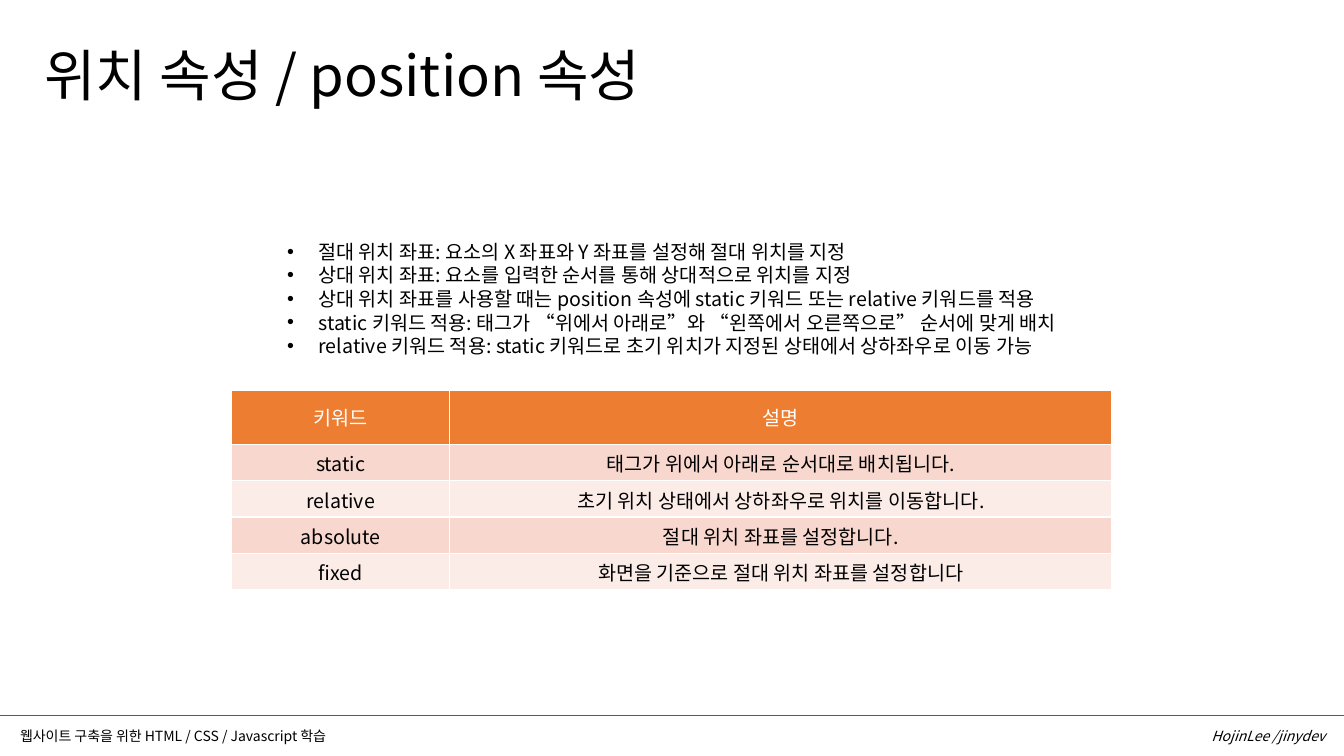
from lxml.etree import SubElement
from pptx import Presentation
from pptx.dml.color import RGBColor
from pptx.enum.shapes import MSO_CONNECTOR
from pptx.enum.text import MSO_ANCHOR, MSO_AUTO_SIZE, PP_ALIGN
from pptx.oxml.ns import qn
from pptx.util import Pt

PX = 9144  # 100 px to the inch
FONT = "Noto Sans CJK KR"
BLACK = RGBColor(0x00, 0x00, 0x00)
WHITE = RGBColor(0xFF, 0xFF, 0xFF)
GRAY = RGBColor(0x59, 0x59, 0x59)
ORANGE = RGBColor(0xED, 0x7D, 0x31)
BANDS = (RGBColor(0xF8, 0xD7, 0xCE), RGBColor(0xFC, 0xEC, 0xE8))

BULLETS = (
    "절대 위치 좌표: 요소의 X 좌표와 Y 좌표를 설정해 절대 위치를 지정",
    "상대 위치 좌표: 요소를 입력한 순서를 통해 상대적으로 위치를 지정",
    "상대 위치 좌표를 사용할 때는 position 속성에 static 키워드 또는 relative 키워드를 적용",
    "static 키워드 적용: 태그가 “위에서 아래로”와 “왼쪽에서 오른쪽으로” 순서에 맞게 배치",
    "relative 키워드 적용: static 키워드로 초기 위치가 지정된 상태에서 상하좌우로 이동 가능",
)
KEYWORDS = (
    ("키워드", "설명"),
    ("static", "태그가 위에서 아래로 순서대로 배치됩니다."),
    ("relative", "초기 위치 상태에서 상하좌우로 위치를 이동합니다."),
    ("absolute", "절대 위치 좌표를 설정합니다."),
    ("fixed", "화면을 기준으로 절대 위치 좌표를 설정합니다"),
)
COLUMN_WIDTHS = (216, 657)
HEADER_HEIGHT, ROW_HEIGHT = 54, 36


def px(*lengths):
    return [length * PX for length in lengths]


def add_span(para, text, size, color=BLACK, italic=False):
    span = para.add_run()
    span.text = text
    font = span.font
    font.name, font.size, font.bold, font.italic = FONT, Pt(size), False, italic
    font.color.rgb = color
    SubElement(font._element, qn("a:ea"), typeface=FONT)


def set_bullet(para):
    properties = para._p.get_or_add_pPr()
    properties.set("marL", str(31 * PX))
    properties.set("indent", str(-31 * PX))
    SubElement(properties, qn("a:buFont"), typeface="Arial")
    SubElement(properties, qn("a:buChar"), char="•")


def add_title(page, text):
    title = page.shapes.title
    title.left, title.top, title.width, title.height = px(34, 35, 667, 77)
    frame = title.text_frame
    frame.auto_size = MSO_AUTO_SIZE.NONE
    frame.vertical_anchor = MSO_ANCHOR.MIDDLE
    frame.word_wrap = False
    para = frame.paragraphs[0]
    para.alignment = PP_ALIGN.LEFT
    add_span(para, text, 40)


def add_text(page, place, texts, size, align=PP_ALIGN.LEFT, bullets=False, italic=False):
    frame = page.shapes.add_textbox(*px(*place)).text_frame
    frame.word_wrap = True
    if bullets:
        frame.margin_right = 0
    for index, text in enumerate(texts):
        para = frame.add_paragraph() if index else frame.paragraphs[0]
        para.alignment = align
        para.line_spacing = Pt(size * 1.2)
        if bullets:
            set_bullet(para)
        add_span(para, text, size, italic=italic)


def set_borders(cell):
    """Draw thin white lines on all four sides, ahead of the cell's fill."""
    properties = cell._tc.get_or_add_tcPr()
    for index, side in enumerate(("a:lnL", "a:lnR", "a:lnT", "a:lnB")):
        line = SubElement(properties, qn(side), w=str(Pt(1)))
        fill = SubElement(line, qn("a:solidFill"))
        SubElement(fill, qn("a:srgbClr"), val=str(WHITE))
        properties.insert(index, line)


def fill_cell(cell, text, fill, color):
    cell.fill.solid()
    cell.fill.fore_color.rgb = fill
    set_borders(cell)
    cell.vertical_anchor = MSO_ANCHOR.MIDDLE
    para = cell.text_frame.paragraphs[0]
    para.alignment = PP_ALIGN.CENTER
    add_span(para, text, 14, color)


def add_keyword_table(page):
    heights = [HEADER_HEIGHT] + [ROW_HEIGHT] * (len(KEYWORDS) - 1)
    place = px(230, 387, sum(COLUMN_WIDTHS), sum(heights))
    table = page.shapes.add_table(len(KEYWORDS), len(COLUMN_WIDTHS), *place).table
    table.horz_banding = False
    for column, width in zip(table.columns, px(*COLUMN_WIDTHS)):
        column.width = width
    for index, (row, texts) in enumerate(zip(table.rows, KEYWORDS)):
        row.height = heights[index] * PX
        fill = BANDS[(index - 1) % 2] if index else ORANGE
        for cell, text in zip(row.cells, texts):
            fill_cell(cell, text, fill, BLACK if index else WHITE)
            if index:
                cell.margin_left = cell.margin_right = cell.margin_top = PX
                cell.margin_bottom = 0


def add_rule(page, top):
    rule = page.shapes.add_connector(MSO_CONNECTOR.STRAIGHT, *px(0, top, 1333, top))
    rule.line.color.rgb = GRAY
    rule.line.width = Pt(0.5)
    SubElement(rule._element.spPr, qn("a:effectLst"))


def main():
    deck = Presentation()
    deck.slide_width, deck.slide_height = px(1333, 750)
    page = deck.slides.add_slide(deck.slide_layouts.get_by_name("Title Only"))
    add_title(page, "위치 속성 / position 속성")
    add_keyword_table(page)
    add_text(page, (275, 233, 783, 128), BULLETS, 14, bullets=True)
    add_rule(page, 710)
    add_text(page, (1015, 717, 309, 27), ["HojinLee /jinydev"], 10, PP_ALIGN.RIGHT, italic=True)
    add_text(page, (10, 717, 421, 27), ["웹사이트 구축을 위한 HTML / CSS / Javascript 학습"], 10)
    deck.save("out.pptx")


if __name__ == "__main__":
    main()
